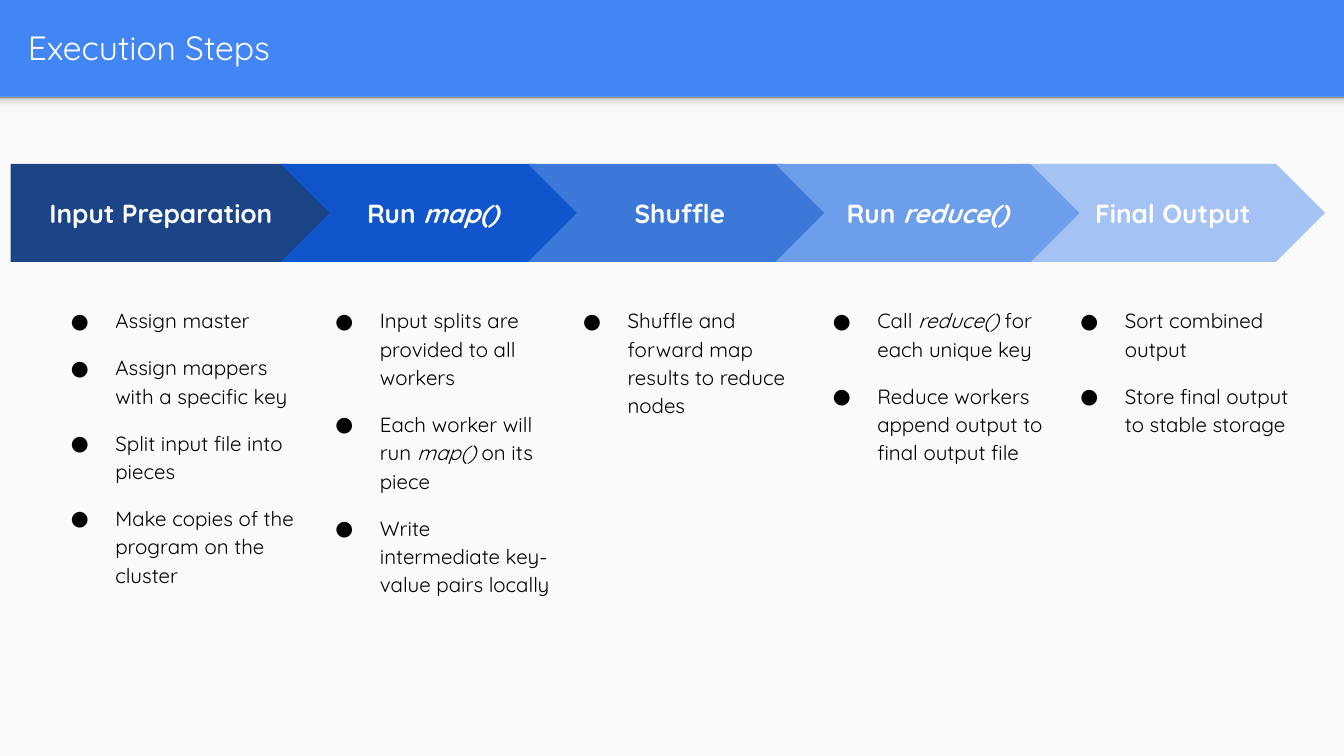
from lxml.etree import SubElement
from pptx import Presentation
from pptx.dml.color import RGBColor
from pptx.enum.shapes import MSO_SHAPE as Shape
from pptx.enum.text import MSO_ANCHOR as Anchor, PP_ALIGN as Align
from pptx.oxml.ns import qn
from pptx.util import Cm, Pt

FONT = "Quicksand"
COLORS = {
    "header": "4285F4", "page": "FAFAFA", "white": "FFFFFF", "black": "000000",
    "input": "1C4587", "map": "1155CC", "shuffle": "3C78D8",
    "reduce": "6D9EEB", "output": "A4C2F4",
}
SHADOW_STOPS = [(0, "F9F9F9"), (36, "F9F9F9"), (80, "DEDEDE"), (100, "999999")]
WIDTH, HEIGHT, HEADER_HEIGHT = 25.4, 14.29, 1.83
ARROW_TOP, ARROW_HEIGHT = 3.1, 1.85
NOTES_TOP, NOTES_HEIGHT = 5.51, 6.53

# Back to front: colour, heading, arrow (left, width), notes (left, width), notes.
# Asterisks enclose italics.
STEPS = [
    ("input", "Input Preparation", (0.2, 6.15), (0.66, 5.21),
     ["Assign master", "Assign mappers with a specific key",
      "Split input file into pieces", "Make copies of the program on the cluster"]),
    ("map", "Run *map()*", (5.31, 5.74), (5.66, 4.98),
     ["Input splits are provided to all workers",
      "Each worker will run *map() *on its piece",
      "Write intermediate key-value pairs locally"]),
    ("shuffle", "Shuffle", (9.98, 5.74), (10.34, 5),
     ["Shuffle and forward map results to reduce nodes"]),
    ("output", "Final Output", (19.3, 5.74), (19.74, 4.93),
     ["Sort combined output", "Store final output to stable storage"]),
    ("reduce", "Run *reduce()*", (14.66, 5.74), (15.06, 5.03),
     ["Call *reduce()* for each unique key",
      "Reduce workers append output to final output file"]),
]


def rgb(name):
    return RGBColor.from_string(COLORS[name])


def add_block(slide, kind, box, color):
    block = slide.shapes.add_shape(kind, *map(Cm, box))
    block.shadow.inherit = False
    block.line.fill.background()
    block.fill.solid()
    block.fill.fore_color.rgb = rgb(color)
    return block


def prepare_frame(frame, anchor):
    frame.word_wrap = True
    frame.vertical_anchor = anchor
    frame.margin_left = frame.margin_right = Cm(0.25)
    frame.margin_top = frame.margin_bottom = Cm(0.25)


def write(paragraph, marked_text, size, color, bold=False):
    for i, part in enumerate(marked_text.split("*")):
        if not part:
            continue
        run = paragraph.add_run()
        run.text = part
        run.font.name, run.font.size = FONT, Pt(size)
        run.font.color.rgb = rgb(color)
        run.font.bold, run.font.italic = bold, i % 2 == 1


def add_bullet(paragraph):
    props = paragraph._p.get_or_add_pPr()
    props.set("marL", str(Cm(1.27)))
    props.set("indent", str(Cm(-0.84)))
    bullet_color = SubElement(props, qn("a:buClr"))
    SubElement(bullet_color, qn("a:srgbClr"), val=COLORS["black"])
    SubElement(props, qn("a:buFont"), typeface=FONT)
    SubElement(props, qn("a:buChar"), char="●")


def add_page(slide, box):
    """Light page area with a soft shadow along its top edge."""
    left, top, width, _ = box
    add_block(slide, Shape.RECTANGLE, box, "page")
    shadow = add_block(slide, Shape.RECTANGLE, (left, top, width, 0.3), "page")
    shadow.fill.gradient()
    shadow.fill.gradient_angle = 90
    stops = shadow._element.spPr.find(qn("a:gradFill")).find(qn("a:gsLst"))
    for stop in list(stops):
        stops.remove(stop)
    for percent, color in SHADOW_STOPS:
        stop = SubElement(stops, qn("a:gs"), pos=str(percent * 1000))
        SubElement(stop, qn("a:srgbClr"), val=color)


def add_title(slide, box, text):
    frame = slide.shapes.add_textbox(*map(Cm, box)).text_frame
    prepare_frame(frame, Anchor.MIDDLE)
    write(frame.paragraphs[0], text, 18, "white")


def add_arrow(slide, box, kind, color, heading):
    arrow = add_block(slide, kind, box, color)
    arrow.adjustments[0] = 0.5
    prepare_frame(arrow.text_frame, Anchor.MIDDLE)
    paragraph = arrow.text_frame.paragraphs[0]
    paragraph.alignment = Align.CENTER
    write(paragraph, heading, 14, "white", bold=True)


def add_notes(slide, box, notes):
    frame = slide.shapes.add_textbox(*map(Cm, box)).text_frame
    prepare_frame(frame, Anchor.TOP)
    for i, note in enumerate(notes):
        paragraph = frame.add_paragraph() if i else frame.paragraphs[0]
        paragraph.line_spacing = 1.15
        paragraph.space_before = Pt(10 if i else 0)
        add_bullet(paragraph)
        write(paragraph, note, 11, "black")


def main():
    deck = Presentation()
    deck.slide_width, deck.slide_height = Cm(WIDTH), Cm(HEIGHT)
    slide = deck.slides.add_slide(deck.slide_layouts[6])

    # Header and page
    slide.background.fill.solid()
    slide.background.fill.fore_color.rgb = rgb("header")
    add_page(slide, (0, HEADER_HEIGHT, WIDTH, HEIGHT - HEADER_HEIGHT))
    add_title(slide, (0.28, 0.05, 24.51, 1.68), "Execution Steps")

    # Process steps
    for i, (color, heading, arrow, column, notes) in enumerate(STEPS):
        kind = Shape.CHEVRON if i else Shape.PENTAGON
        arrow_left, arrow_width = arrow
        add_arrow(slide, (arrow_left, ARROW_TOP, arrow_width, ARROW_HEIGHT),
                  kind, color, heading)
        notes_left, notes_width = column
        add_notes(slide, (notes_left, NOTES_TOP, notes_width, NOTES_HEIGHT), notes)

    deck.save("out.pptx")


if __name__ == "__main__":
    main()
